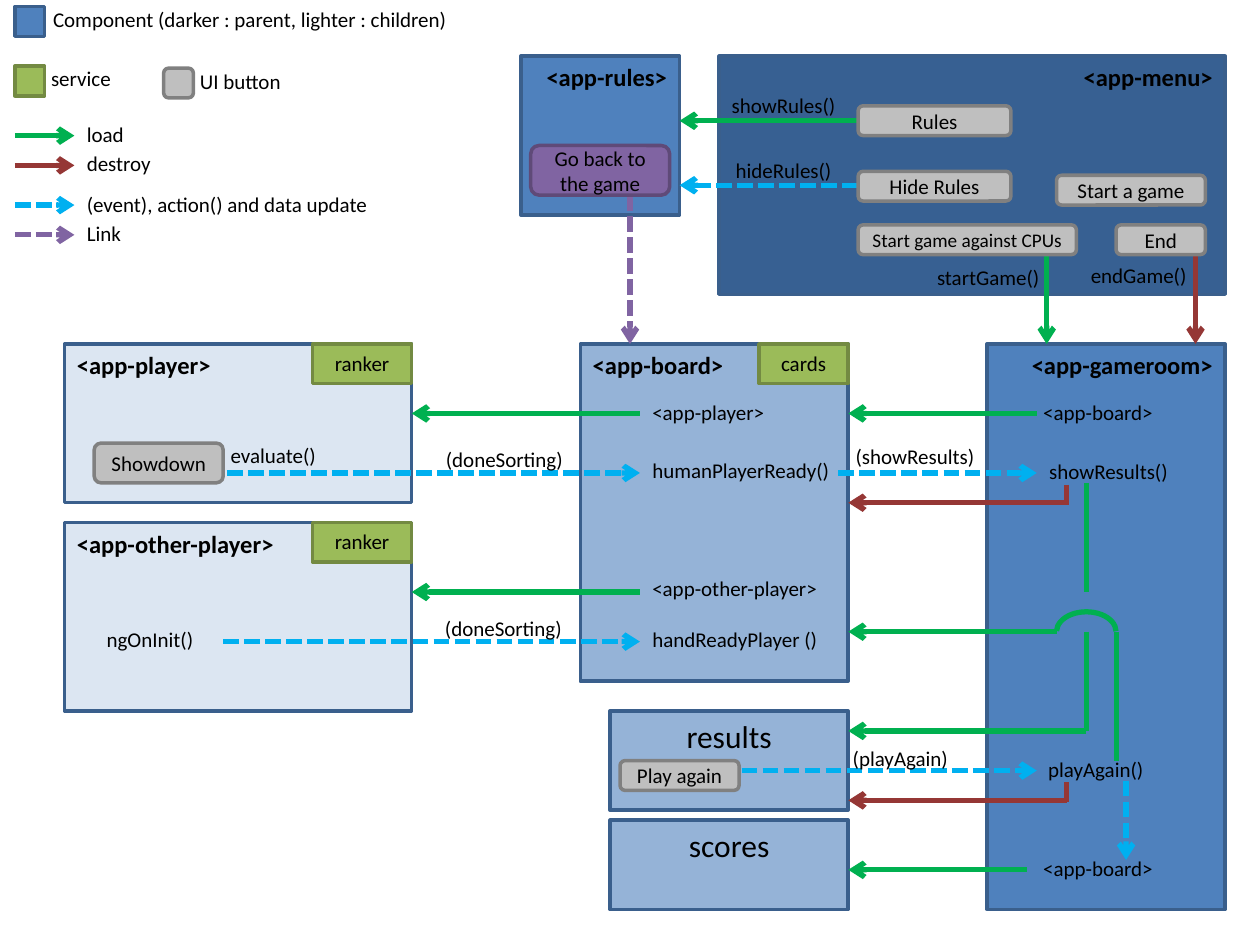
"""Component diagram of a card game, laid out on a two-millimetre grid."""
import pptx
import pptx.util
import pptx.dml.color
import pptx.enum.dml
import pptx.enum.shapes
import pptx.enum.text
import pptx.oxml.ns
import lxml.etree

HUES = {
    "room": "4F81BD", "menu": "376092", "board": "95B3D7", "player": "DCE6F2",
    "edge": "3A5F8C", "serve": "9BBB59", "serve edge": "738A42",
    "button": "BFBFBF", "button edge": "808080",
    "link": "8064A2", "link edge": "5F4A78",
    "load": "00B050", "kill": "953735", "data": "00B0F0", "ink": "000000",
}
KIND = pptx.enum.shapes.MSO_SHAPE
ALIGN = pptx.enum.text.PP_ALIGN
ANCHOR = pptx.enum.text.MSO_ANCHOR
rgb = pptx.dml.color.RGBColor.from_string

deck = pptx.Presentation()
deck.slide_width = pptx.util.Inches(10)
deck.slide_height = pptx.util.Inches(7.5)
slide = deck.slides.add_slide(deck.slide_layouts[6])
shapes = slide.shapes

cell = deck.slide_width / 127
left, top = 1.5, 0.67


def place(col, row, wide=0, high=0):
    return [round(n * cell) for n in (left + col, top + row, wide, high)]


def write(shape, text, size, bold=False, align=ALIGN.LEFT):
    shape.text_frame.text = text
    para = shape.text_frame.paragraphs[0]
    para.alignment = align
    for run in para.runs:
        run.font.name = "Calibri"
        run.font.size = pptx.util.Pt(size)
        run.font.bold = bold
        run.font.color.rgb = rgb(HUES["ink"])


panels = [
    ("<app-gameroom>", 98, 34, 24, 57, "room", ALIGN.RIGHT),
    ("results", 60, 71, 24, 10, "board", ALIGN.CENTER),
    ("<app-menu>", 71, 5, 51, 24, "menu", ALIGN.RIGHT),
    ("<app-rules>", 51, 5, 16, 16, "room", ALIGN.RIGHT),
    ("<app-board>", 57, 34, 27, 34, "board", ALIGN.LEFT),
    ("<app-player>", 5, 34, 35, 16, "player", ALIGN.LEFT),
    ("<app-other-player>", 5, 52, 35, 19, "player", ALIGN.LEFT),
    ("scores", 60, 82, 24, 9, "board", ALIGN.CENTER),
    ("", 0, 0, 3, 3, "room", ALIGN.LEFT),
]
services = [
    ("ranker", 30, 34, 10, 4),
    ("cards", 75, 34, 9, 4),
    ("ranker", 30, 52, 10, 4),
    ("", 0, 6, 3, 3),
]
buttons = [
    ("End", 111, 22, 9, 3),
    ("Start game against CPUs", 85, 22, 22, 3),
    ("Rules", 85, 10, 15.4, 3),
    ("Hide Rules", 85, 16.6, 15.4, 3),
    ("Go back to the game", 52, 14, 14, 5),
    ("Showdown", 8, 44, 13, 4),
    ("Play again", 61, 76, 12, 3),
    ("Start a game", 105, 17, 15, 3),
    ("", 15, 6.2, 3, 3),
]
lines = [
    ("load", 0, 13, 6, 13), ("kill", 0, 16, 6, 16),
    ("data", 0, 20, 6, 20), ("link", 0, 23, 6, 23),
    ("load", 85, 11.5, 67, 11.5), ("data", 85, 18, 67, 18),
    ("load", 104, 25, 104, 34), ("kill", 119, 25, 119, 34),
    ("link", 62, 19, 62, 34),
    ("load", 103, 41, 84, 41), ("load", 63, 41, 40, 41),
    ("load", 63, 59, 40, 59), ("load", 102, 87, 84, 87),
    ("data", 15, 47, 63, 47), ("data", 83, 47, 103, 47),
    ("data", 21, 64, 63, 64), ("data", 69, 77, 103, 77),
    ("data", 112, 78, 112, 86),
    ("kill", 106, 50, 84, 50), ("kill", 106, 80, 84, 80),
    ("load", 108, 73, 84, 73), ("load", 105, 63, 84, 63),
]
stems = [
    ("kill", 106, 48.2, 106, 50.2), ("kill", 106, 78.2, 106, 80.2),
    ("load", 108, 48, 108, 59), ("load", 108, 63, 108, 73),
    ("load", 111, 63, 111, 76),
]
labels = [
    ("Component (darker : parent, lighter : children)", 2.6, -0.67, 42.5),
    ("service", 2.4, 5.3, 8.6), ("UI button", 17.4, 5.6, 10.9),
    ("load", 6, 11, 6.4), ("destroy", 6, 13.9, 9),
    ("(event), action() and data update", 6, 18, 31.1),
    ("Link", 6, 20.9, 6.1),
    ("showRules()", 71, 8, 13.2), ("hideRules()", 71.4, 14.6, 12.3),
    ("startGame()", 91.7, 25.4, 13), ("endGame()", 107.2, 25.2, 12.3),
    ("<app-board>", 102.4, 39, 13.7), ("<app-board>", 102.4, 84.9, 13.7),
    ("<app-player>", 63, 39, 14), ("<app-other-player>", 63, 56.7, 19.3),
    ("evaluate()", 20.5, 43.3, 11.2), ("ngOnInit()", 8, 61.9, 11.4),
    ("(doneSorting)", 42.2, 43.7, 14.5), ("(doneSorting)", 42.1, 60.8, 14.5),
    ("humanPlayerReady()", 63, 44.8, 20.6),
    ("handReadyPlayer ()", 63, 61.9, 19.3),
    ("(showResults)", 83.5, 43.4, 14.7), ("showResults()", 103, 44.9, 14.7),
    ("(playAgain)", 83.2, 73.9, 12.2), ("playAgain()", 102.9, 75, 12.2),
]

boxes = []
for text, *spot, hue, align in panels:
    tag = text.startswith("<")
    boxes.append((KIND.RECTANGLE, text, spot, hue, "edge", 14 if tag else 18, tag, align))
for text, *spot in services:
    boxes.append((KIND.RECTANGLE, text, spot, "serve", "serve edge", 12, False, ALIGN.CENTER))
count = len(boxes)
for text, *spot in buttons:
    hue = "link" if text.startswith("Go") else "button"
    size = 11 if "CPUs" in text else 12
    boxes.append((KIND.ROUNDED_RECTANGLE, text, spot, hue, hue + " edge", size, False, ALIGN.CENTER))

for step, (kind, text, spot, hue, edge, size, bold, align) in enumerate(boxes):
    if step == count:
        for tone, *ends in lines + stems:
            start, end = place(*ends[:2])[:2], place(*ends[2:])[:2]
            line = shapes.add_connector(pptx.enum.shapes.MSO_CONNECTOR.STRAIGHT, *start, *end)
            line.line.color.rgb = rgb(HUES[tone])
            line.line.width = pptx.util.Pt(3)
            if tone in ("data", "link"):
                line.line.dash_style = pptx.enum.dml.MSO_LINE.SQUARE_DOT
                line.line._ln.prstDash.set("val", "sysDash")
            if (tone, *ends) in lines:
                tip = lxml.etree.SubElement(line.line._ln, pptx.oxml.ns.qn("a:tailEnd"))
                tip.set("type", "arrow")
            lxml.etree.SubElement(line._element.spPr, pptx.oxml.ns.qn("a:effectLst"))
    box = shapes.add_shape(kind, *place(*spot))
    box.shadow.inherit = False
    box.fill.solid()
    box.fill.fore_color.rgb = rgb(HUES[hue])
    box.line.color.rgb = rgb(HUES[edge])
    box.line.width = pptx.util.Pt(2)
    round_box = kind == KIND.ROUNDED_RECTANGLE
    box.text_frame.vertical_anchor = ANCHOR.MIDDLE if round_box else ANCHOR.TOP
    if text:
        write(box, text, size, bold, align)

arc = shapes.add_shape(KIND.ARC, *place(105, 61, 6, 4))
arc.adjustments[0], arc.adjustments[1] = 108.9, 215.5
arc.shadow.inherit = False
arc.fill.background()
arc.line.color.rgb = rgb(HUES["load"])
arc.line.width = pptx.util.Pt(3)

for text, col, row, wide in labels:
    label = shapes.add_textbox(*place(col, row, wide, 3.85))
    label.text_frame.word_wrap = False
    label.text_frame.auto_size = pptx.enum.text.MSO_AUTO_SIZE.SHAPE_TO_FIT_TEXT
    write(label, text, 12)

deck.save("out.pptx")
